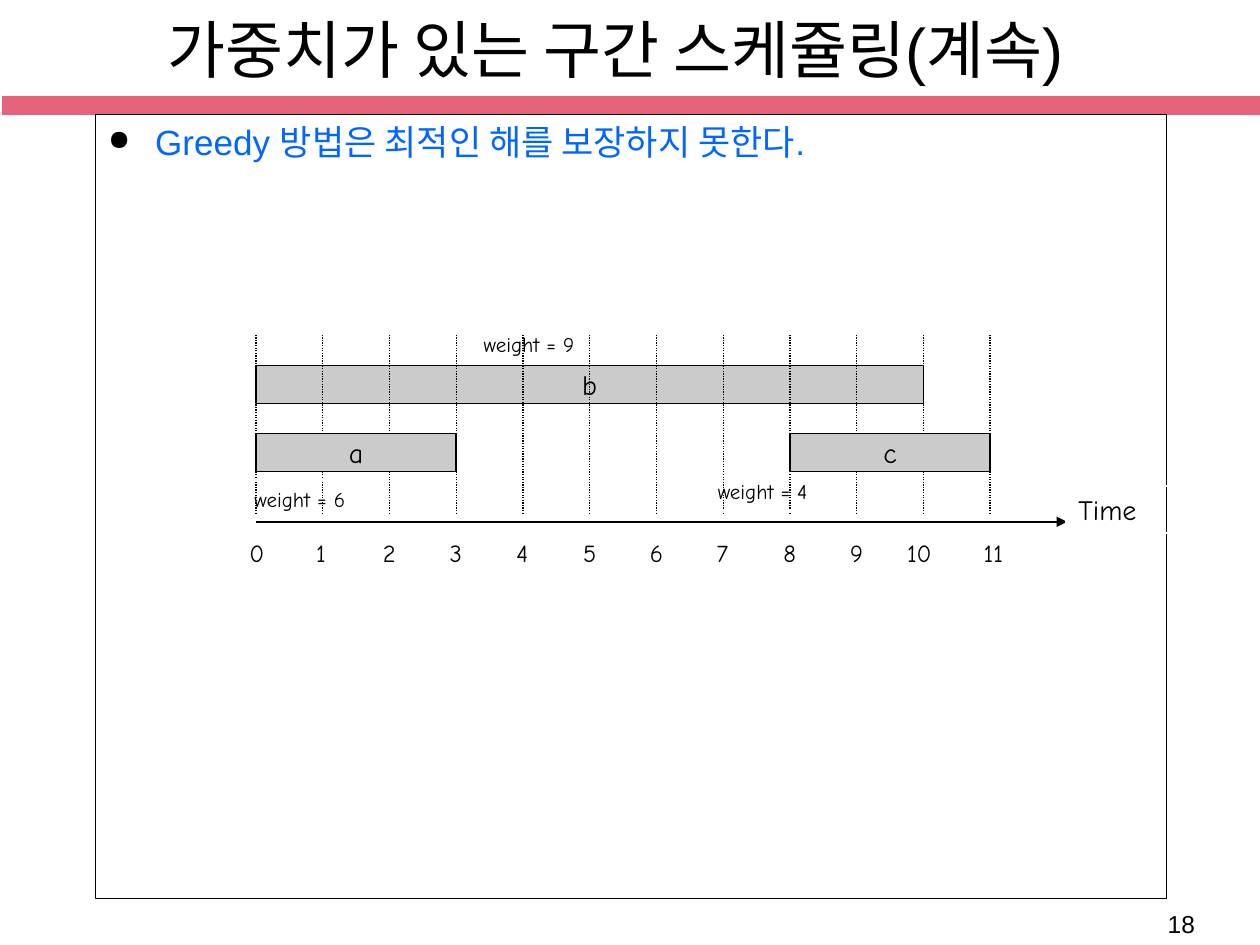
from lxml.etree import SubElement
from pptx import Presentation
from pptx.dml.color import RGBColor
from pptx.enum.dml import MSO_LINE as Dash
from pptx.enum.shapes import MSO_CONNECTOR as Conn, MSO_SHAPE as Kind
from pptx.enum.text import MSO_ANCHOR as Anchor, PP_ALIGN as Align
from pptx.oxml.ns import qn
from pptx.util import Cm, Pt

BLACK = RGBColor(0x00, 0x00, 0x00)
WHITE = RGBColor(0xFF, 0xFF, 0xFF)
BLUE = RGBColor(0x00, 0x66, 0xFF)
ROSE = RGBColor(0xE4, 0x62, 0x7B)
GRAY = RGBColor(0xCB, 0xCB, 0xCB)
SANS, COMIC = "Arial", "Comic Neue"

# Content
TITLE = "가중치가 있는 구간 스케쥴링(계속)"
POINT = "Greedy 방법은 최적인 해를 보장하지 못한다."
PAGE = "18"
AXIS = "Time"
BACK = [("b", 0, 10, 7.37)]  # name, start, end, top in cm
FRONT = [("a", 0, 3, 8.74), ("c", 8, 11, 8.74)]
WEIGHTS = [("weight = 9", 9.5, 6.55), ("weight = 6", 4.88, 9.68),
           ("weight = 4", 14.22, 9.53)]
NUDGE = {10: -0.2}  # tick labels set off the grid

# Time scale in cm
LAST = 11
LEFT, RIGHT = 5.16, 19.96
STEP = (RIGHT - LEFT) / LAST


def time_x(hour):
    return LEFT + hour * STEP


deck = Presentation()
deck.slide_width, deck.slide_height = Cm(25.4), Cm(19.05)
shapes = deck.slides.add_slide(deck.slide_layouts[6]).shapes


def write(shape, text, size, font=SANS, color=BLACK, align=Align.LEFT,
          anchor=Anchor.TOP, wrap=True):
    frame = shape.text_frame
    frame.word_wrap = wrap
    frame.vertical_anchor = anchor
    para = frame.paragraphs[0]
    para.alignment = align
    run = para.add_run()
    run.text = text
    run.font.size = Pt(size)
    run.font.name = font
    run.font.color.rgb = color
    return para


def label(x, y, w, h):
    return shapes.add_textbox(Cm(x), Cm(y), Cm(w), Cm(h))


def box(x, y, w, h, fill=None, line=BLACK, width=0.75):
    shape = shapes.add_shape(Kind.RECTANGLE, Cm(x), Cm(y), Cm(w), Cm(h))
    shape.shadow.inherit = False
    if fill is None:
        shape.fill.background()
    else:
        shape.fill.solid()
        shape.fill.fore_color.rgb = fill
    shape.line.color.rgb = line
    shape.line.width = Pt(width)
    return shape


def rule(x1, y1, x2, y2, width):
    line = shapes.add_connector(Conn.STRAIGHT, Cm(x1), Cm(y1), Cm(x2), Cm(y2))
    line.line.color.rgb = BLACK
    line.line.width = Pt(width)
    return line


def flatten(line):
    SubElement(line._element.spPr, qn("a:effectLst"))


def draw_bars(bars):
    for name, start, end, top in bars:
        bar = box(time_x(start), top, (end - start) * STEP, 0.76, GRAY)
        write(bar, name, 16, COMIC, align=Align.CENTER,
              anchor=Anchor.MIDDLE, wrap=False)


# Header band, page number and title
box(0.03, 1.91, 25.4, 0.43, ROSE, WHITE, 1)
write(label(23.29, 18.21, 1.45, 0.86), PAGE, 14)
write(label(1.7, 0.03, 21.41, 1.9), TITLE, 36, align=Align.CENTER,
      anchor=Anchor.MIDDLE)

# Framed body with its bullet
point = write(box(1.93, 2.31, 21.59, 15.8), POINT, 20, color=BLUE)
props = point._p.get_or_add_pPr()
props.set("marL", str(Cm(0.95)))
props.set("indent", str(-Cm(0.95)))
tint = SubElement(props, qn("a:buClr"))
SubElement(tint, qn("a:srgbClr"), val=str(BLACK))
SubElement(props, qn("a:buSzPct"), val="80000")
SubElement(props, qn("a:buChar"), char="●")

# Time axis
axis = rule(LEFT, 10.52, 21.51, 10.52, 1.25)
SubElement(axis.line._get_or_add_ln(), qn("a:tailEnd"), type="triangle")
flatten(axis)
write(box(21.49, 9.8, 2.11, 0.94, line=WHITE, width=1.25), AXIS, 16, COMIC)
for hour in range(LAST + 1):
    left = time_x(hour) - 0.38 + NUDGE.get(hour, 0)
    tick = box(left, 10.72, 1.16, 0.84, line=WHITE, width=1.25)
    write(tick, str(hour), 14, COMIC)

# Intervals, with the grid between the two layers
draw_bars(BACK)
for hour in range(LAST + 1):
    grid = rule(time_x(hour), 10.36, time_x(hour), 6.73, 0.75)
    grid.line.dash_style = Dash.ROUND_DOT
    flatten(grid)
draw_bars(FRONT)

# Weights
for text, left, top in WEIGHTS:
    write(box(left, top, 2.36, 0.76, line=WHITE), text, 12, COMIC, wrap=False)

deck.save("out.pptx")
